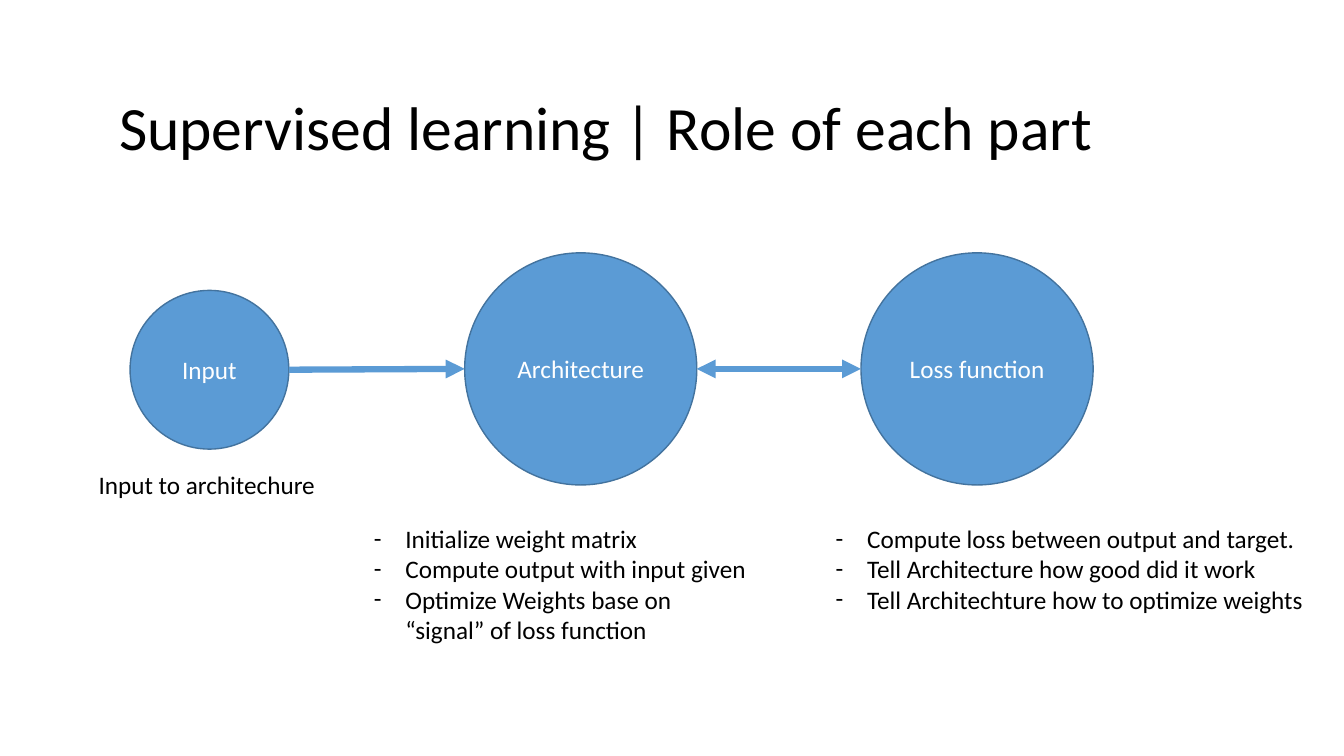
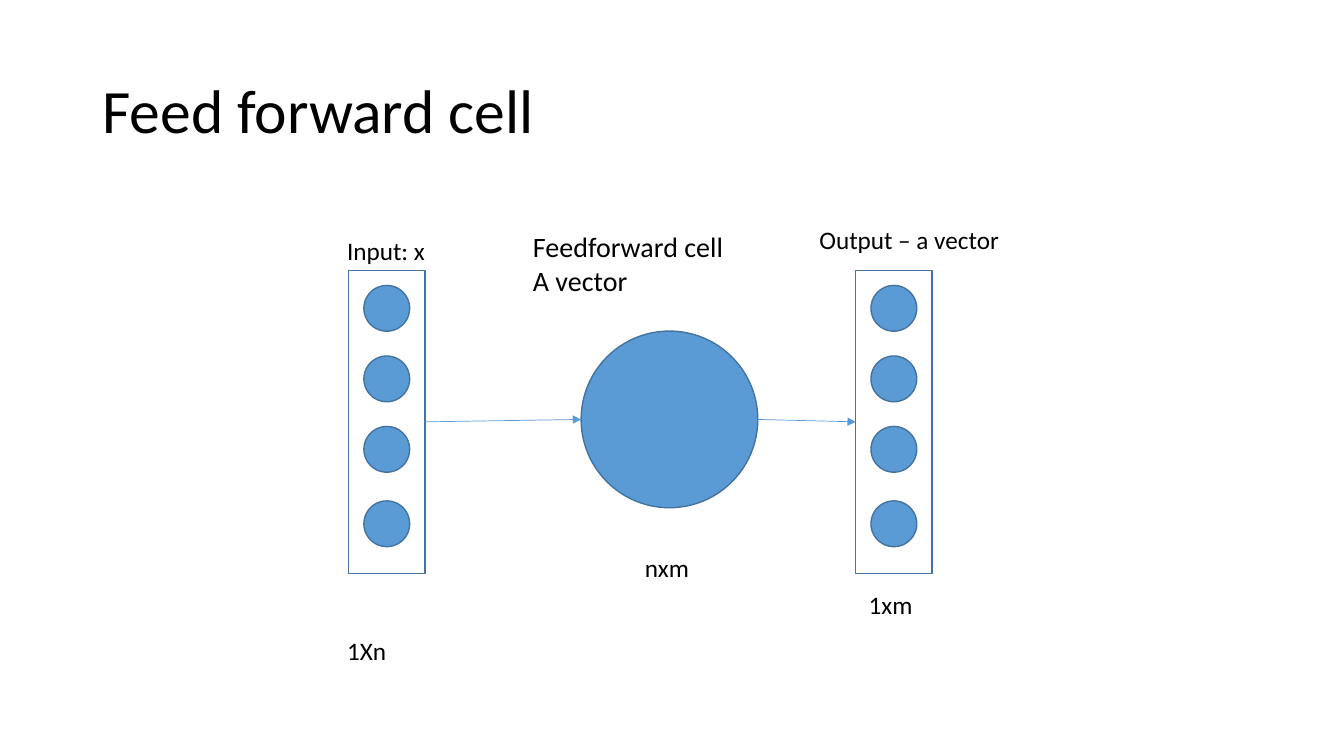
"""Builds two slides on supervised learning and the feed forward cell."""
from dataclasses import dataclass

from lxml import etree
from pptx import Presentation
from pptx.dml.color import RGBColor
from pptx.enum.shapes import MSO_CONNECTOR, MSO_SHAPE
from pptx.enum.text import MSO_ANCHOR, MSO_AUTO_SIZE, PP_ALIGN
from pptx.oxml.ns import qn
from pptx.util import Pt

STRAIGHT = MSO_CONNECTOR.STRAIGHT
OVAL, RECTANGLE = MSO_SHAPE.OVAL, MSO_SHAPE.RECTANGLE
MIDDLE = MSO_ANCHOR.MIDDLE
FIXED, FIT_TEXT = MSO_AUTO_SIZE.NONE, MSO_AUTO_SIZE.SHAPE_TO_FIT_TEXT
LEFT, CENTER = PP_ALIGN.LEFT, PP_ALIGN.CENTER
LEFT_SIDE, RIGHT_SIDE = 1, 3
TITLE_ONLY = 5


@dataclass(frozen=True)
class Theme:
    """Colours, type sizes and line widths of the deck."""
    font: str = "Calibri"
    ink: RGBColor = RGBColor(0, 0, 0)
    light: RGBColor = RGBColor(255, 255, 255)
    fill: RGBColor = RGBColor(0x5B, 0x9B, 0xD5)
    outline: RGBColor = RGBColor(0x43, 0x73, 0x9E)
    title_size: float = 44
    note_size: float = 20
    body_size: float = 18
    outline_width: float = 1
    thick_arrow: float = 4.5
    thin_arrow: float = 0.5
    indent: float = 22.5


THEME = Theme()
SLIDE_SIZE = (960, 540)
TITLE_SIZE = (828, 104.4)

ROLES_TITLE = ("Supervised learning | Role of each part", 77.8, 41)
ROLES = [
    ("Input", 92.9, 207.4, 113.4),
    ("Architecture", 331.9, 180.6, 165.8),
    ("Loss function", 615, 180.6, 165.8),
]
INPUT_ROLE = (["Input to architechure"], 63.4, 332, 170.6, 29)
ROLE_LISTS = [
    (["Initialize weight matrix", "Compute output with input given",
      "Optimize Weights base on\v“signal” of loss function"], 260, 370.3, 283.7, 94.5),
    (["Compute loss between output and target.", "Tell Architecture how good did it work",
      "Tell Architechture how to optimize weights"], 589.8, 370.3, 352, 72.7),
]

CELL_TITLE = ("Feed forward cell", 66, 28.8)
CELL = (415.1, 236.5, 126.2)
CELL_NOTE = (["Feedforward cell", "A vector"], 373.6, 160.6, 162, 55.7)
VECTORS = [
    ((["Input: x"], 240.8, 164.3, 70.6, 29), 249.1),
    ((["Output – a vector"], 578.2, 157, 144, 29), 611.3),
]
VECTOR_TOP, VECTOR_WIDTH, VECTOR_HEIGHT = 193, 54.4, 216.7
NEURON_TOPS, NEURON_SIZE = (203.9, 254.3, 304.6, 357.8), 32.7
DIMENSIONS = [
    (["1Xn"], 240.8, 450, 42.5, 29),
    (["nxm"], 453.6, 390.6, 46, 29),
    (["1xm"], 613.4, 417.2, 46, 29),
]


def format_runs(paragraph, size, color):
    for run in paragraph.runs:
        run.font.name = THEME.font
        run.font.size = Pt(size)
        run.font.color.rgb = color


def add_titled_slide(presentation, text, left, top):
    slide = presentation.slides.add_slide(presentation.slide_layouts[TITLE_ONLY])
    title = slide.shapes.title
    title.left, title.top = Pt(left), Pt(top)
    title.width, title.height = map(Pt, TITLE_SIZE)
    title.text_frame.text = text
    title.text_frame.vertical_anchor = MIDDLE
    title.text_frame.auto_size = FIXED
    paragraph = title.text_frame.paragraphs[0]
    paragraph.alignment = LEFT
    paragraph.line_spacing = 0.9
    format_runs(paragraph, THEME.title_size, THEME.ink)
    return slide


def add_dash(paragraph):
    properties = paragraph._p.get_or_add_pPr()
    properties.set("marL", str(Pt(THEME.indent)))
    properties.set("indent", str(-Pt(THEME.indent)))
    etree.SubElement(properties, qn("a:buFont")).set("typeface", THEME.font)
    etree.SubElement(properties, qn("a:buChar")).set("char", "-")


def add_text(shapes, lines, left, top, width, height, size=THEME.body_size, dashed=False):
    text_frame = shapes.add_textbox(Pt(left), Pt(top), Pt(width), Pt(height)).text_frame
    text_frame.text = "\n".join(lines)
    text_frame.word_wrap = False
    text_frame.auto_size = FIT_TEXT
    for paragraph in text_frame.paragraphs:
        if dashed:
            add_dash(paragraph)
        format_runs(paragraph, size, THEME.ink)


def add_figure(shapes, kind, left, top, width, height, filled=True):
    shape = shapes.add_shape(kind, Pt(left), Pt(top), Pt(width), Pt(height))
    shape.shadow.inherit = False
    if filled:
        shape.fill.solid()
        shape.fill.fore_color.rgb = THEME.fill
    else:
        shape.fill.background()
    shape.line.color.rgb = THEME.outline
    shape.line.width = Pt(THEME.outline_width)
    return shape


def add_circle(shapes, left, top, size, label=""):
    circle = add_figure(shapes, OVAL, left, top, size, size)
    if label:
        circle.text_frame.text = label
        circle.text_frame.word_wrap = True
        circle.text_frame.vertical_anchor = MIDDLE
        paragraph = circle.text_frame.paragraphs[0]
        paragraph.alignment = CENTER
        format_runs(paragraph, THEME.body_size, THEME.light)
    return circle


def add_arrow(slide, source, target, width, both_ways=False):
    connector = slide.shapes.add_connector(
        STRAIGHT, source.left + source.width, source.top + source.height // 2,
        target.left, target.top + target.height // 2)
    if source.auto_shape_type == RECTANGLE:
        connector.begin_connect(source, RIGHT_SIDE)
    if target.auto_shape_type == RECTANGLE:
        connector.end_connect(target, LEFT_SIDE)
    connector.line.color.rgb = THEME.fill
    connector.line.width = Pt(width)
    line = connector.line._get_or_add_ln()
    for end in ("a:headEnd", "a:tailEnd") if both_ways else ("a:tailEnd",):
        etree.SubElement(line, qn(end)).set("type", "triangle")
    etree.SubElement(connector._element.spPr, qn("a:effectLst"))


def add_vector(slide, label, left):
    shapes = slide.shapes.add_group_shape().shapes
    add_text(shapes, *label)
    neuron_left = left + (VECTOR_WIDTH - NEURON_SIZE) / 2
    for top in NEURON_TOPS:
        add_circle(shapes, neuron_left, top, NEURON_SIZE)
    return add_figure(shapes, RECTANGLE, left, VECTOR_TOP, VECTOR_WIDTH, VECTOR_HEIGHT,
                      filled=False)


def build_roles(presentation):
    slide = add_titled_slide(presentation, *ROLES_TITLE)
    source, architecture, loss = [
        add_circle(slide.shapes, left, top, size, label) for label, left, top, size in ROLES]
    add_text(slide.shapes, *INPUT_ROLE)
    for role_list in ROLE_LISTS:
        add_text(slide.shapes, *role_list, dashed=True)
    add_arrow(slide, source, architecture, THEME.thick_arrow)
    add_arrow(slide, architecture, loss, THEME.thick_arrow, both_ways=True)


def build_cell(presentation):
    slide = add_titled_slide(presentation, *CELL_TITLE)
    add_text(slide.shapes, *CELL_NOTE, size=THEME.note_size)
    cell = add_circle(slide.shapes, *CELL)
    input_vector, output_vector = [add_vector(slide, *vector) for vector in VECTORS]
    add_arrow(slide, input_vector, cell, THEME.thin_arrow)
    add_arrow(slide, cell, output_vector, THEME.thin_arrow)
    for dimension in DIMENSIONS:
        add_text(slide.shapes, *dimension)


def main():
    presentation = Presentation()
    presentation.slide_width, presentation.slide_height = map(Pt, SLIDE_SIZE)
    build_roles(presentation)
    build_cell(presentation)
    presentation.save("out.pptx")


if __name__ == "__main__":
    main()
